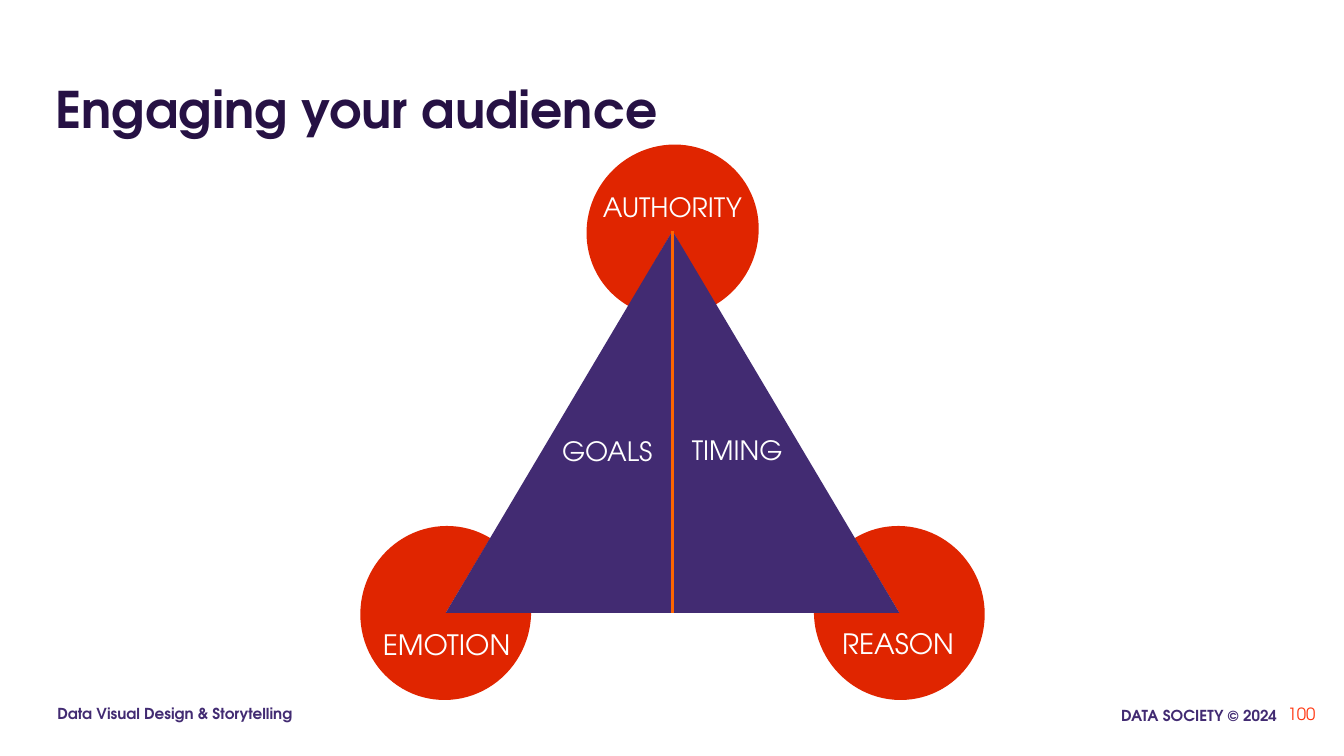
"""Build the "Engaging your audience" slide with its rhetorical triangle."""
import pptx
import pptx.dml.color
import pptx.enum.shapes
import pptx.enum.text
import pptx.oxml
import pptx.util

Pt = pptx.util.Pt
SHAPE = pptx.enum.shapes.MSO_SHAPE
ALIGN = pptx.enum.text.PP_ALIGN
ANCHOR = pptx.enum.text.MSO_ANCHOR
FONT = "TeX Gyre Adventor"
RED, PURPLE, WHITE = "E02500", "422B72", "FFFFFF"


def color(value):
    return pptx.dml.color.RGBColor.from_string(value)


def write(s, text, size, hex_color, bold, align, anchor, inset_x, inset_y):
    tf = s.text_frame
    tf.word_wrap = True
    tf.auto_size = pptx.enum.text.MSO_AUTO_SIZE.NONE
    tf.vertical_anchor = anchor
    tf.margin_left = tf.margin_right = Pt(inset_x)
    tf.margin_top = tf.margin_bottom = Pt(inset_y)
    p = tf.paragraphs[0]
    p.text = text
    p.alignment = align
    p.font.name = FONT
    p.font.size = Pt(size)
    p.font.bold = bold
    p.font.color.rgb = color(hex_color)


prs = pptx.Presentation()
prs.slide_width, prs.slide_height = Pt(960), Pt(540)
slide = prs.slides.add_slide(prs.slide_layouts[5])
shapes = slide.shapes

title = shapes.title
title.left, title.top, title.width, title.height = Pt(32.4), Pt(41.8), Pt(894.2), Pt(60.5)
write(title, "Engaging your audience", 36, "261144", True, ALIGN.LEFT, ANCHOR.BOTTOM, 7.2, 3.6)

apex_x, apex_y, half_base, height = 480.4, 164.9, 162, 272.9
base_y = apex_y + height
pie_w, pie_h = 124.6, 121.7

pies = [
    (apex_x + half_base, base_y, 251.2, False),
    (apex_x, apex_y, 132.2, False),
    (apex_x - half_base, base_y, 108.8, True),
]
for x, y, rotation, flipped in pies:
    s = shapes.add_shape(SHAPE.PIE, Pt(x - pie_w / 2), Pt(y - pie_h / 2), Pt(pie_w), Pt(pie_h))
    s.adjustments[0], s.adjustments[1] = 208.8, 173.2
    s.rotation = rotation
    if flipped:
        s._element.spPr.xfrm.set("flipH", "1")
    s.shadow.inherit = False
    s.fill.solid()
    s.fill.fore_color.rgb = color(RED)
    s.line.fill.background()

for x, flipped in [(apex_x, False), (apex_x - half_base, True)]:
    s = shapes.add_shape(SHAPE.RIGHT_TRIANGLE, Pt(x), Pt(apex_y), Pt(half_base), Pt(height))
    if flipped:
        s._element.spPr.xfrm.set("flipH", "1")
    s.shadow.inherit = False
    s.fill.solid()
    s.fill.fore_color.rgb = color(PURPLE)
    s.line.fill.background()

divider = shapes.add_connector(
    pptx.enum.shapes.MSO_CONNECTOR.STRAIGHT, Pt(apex_x), Pt(apex_y), Pt(apex_x), Pt(base_y))
divider.line.color.rgb = color("FF6501")
divider.line.width = Pt(1.5)
divider._element.spPr.append(pptx.oxml.parse_xml(
    '<a:effectLst xmlns:a="http://schemas.openxmlformats.org/drawingml/2006/main"/>'))

labels = [
    ("REASON", 573.8, 437.8, 135.4, 20),
    ("AUTHORITY", 412.6, 126.7, 135.4, 19),
    ("EMOTION", 251.3, 438.5, 135.4, 20),
    ("GOALS", 386.6, 301, 94.3, 19),
    ("TIMING", 479.5, 300.2, 94.3, 19),
]
for text, x, y, width, size in labels:
    s = shapes.add_textbox(Pt(x), Pt(y), Pt(width), Pt(37.4))
    write(s, text, size, WHITE, False, ALIGN.CENTER, ANCHOR.TOP, 9.4, 9.4)

footers = [
    ("DATA SOCIETY © 2024", 761, 496.1, 159.8, ALIGN.RIGHT),
    ("Data Visual Design & Storytelling", 32.4, 494.6, 197.3, ALIGN.LEFT),
]
for text, x, y, width, align in footers:
    s = shapes.add_textbox(Pt(x), Pt(y), Pt(width), Pt(30.2))
    write(s, text, 10.8, PURPLE, True, align, ANCHOR.TOP, 8.6, 8.6)

number = shapes.add_textbox(Pt(889.2), Pt(489.6), Pt(57.6), Pt(40.8))
write(number, "100", 12, "FF350F", False, ALIGN.RIGHT, ANCHOR.MIDDLE, 7.2, 3.6)

prs.save("out.pptx")
